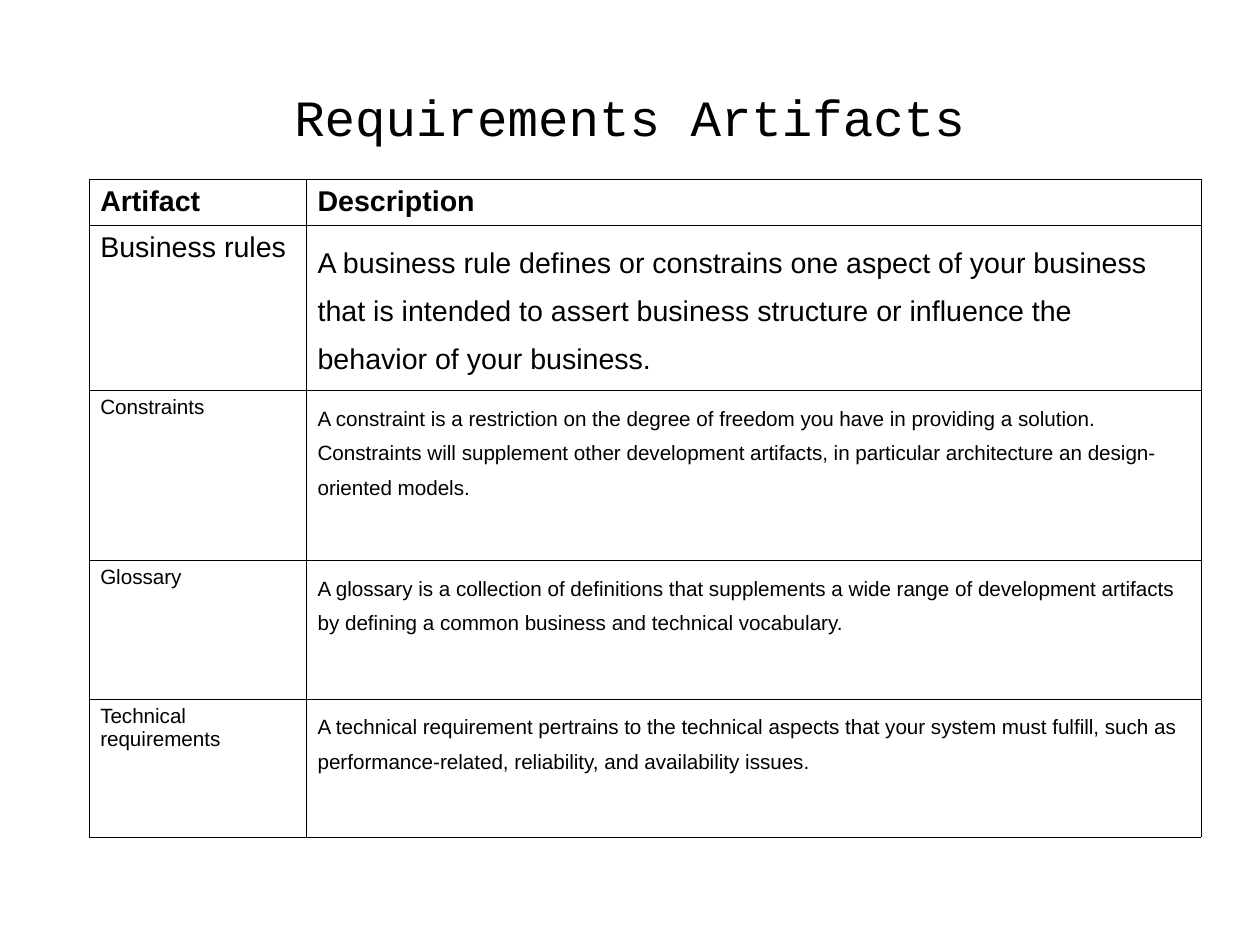
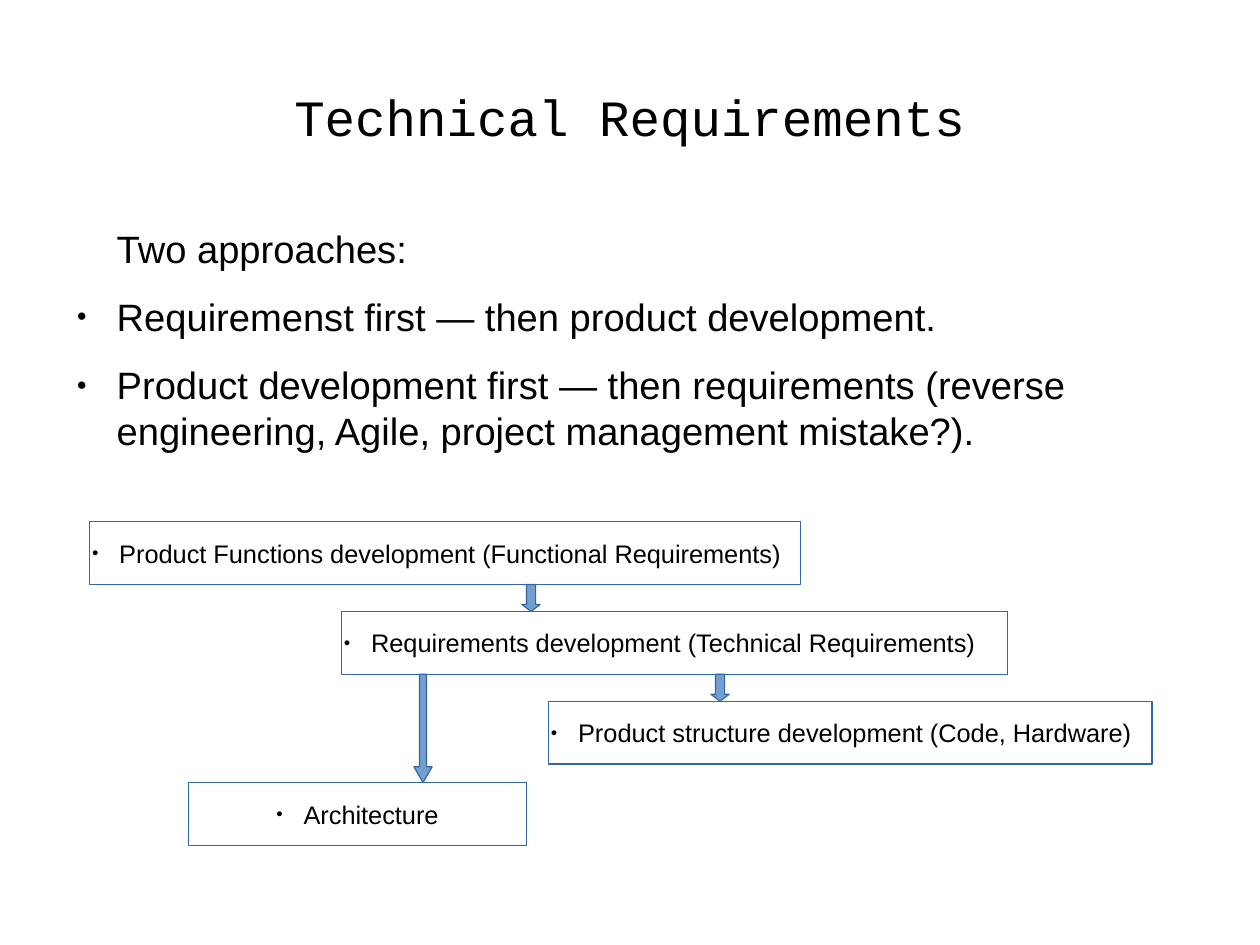
from dataclasses import dataclass

from lxml.etree import SubElement
from pptx import Presentation
from pptx.dml.color import RGBColor
from pptx.enum.shapes import MSO_SHAPE as Preset
from pptx.enum.text import MSO_ANCHOR as Anchor, MSO_AUTO_SIZE as AutoSize, PP_ALIGN as Align
from pptx.oxml.ns import qn
from pptx.util import Cm, Inches, Pt


@dataclass(frozen=True)
class Theme:
    ink: str = "000000"
    outline: str = "3465A4"
    arrow: str = "729FCF"
    title_font: str = "Courier New"
    text_font: str = "Arial"
    title: int = 32
    body: int = 24
    large: int = 18
    label: int = 16
    small: int = 13


THEME = Theme()
WIDTH, HEIGHT = Cm(28), Cm(21)

ARTIFACTS = [
    ("Artifact", "Description"),
    ("Business rules",
     "A business rule defines or constrains one aspect of your business that is intended "
     "to assert business structure or influence the behavior of your business."),
    ("Constraints",
     "A constraint is a restriction on the degree of freedom you have in providing a "
     "solution. Constraints will supplement other development artifacts, in particular "
     "architecture an design-oriented models."),
    ("Glossary",
     "A glossary is a collection of definitions that supplements a wide range of "
     "development artifacts by defining a common business and technical vocabulary."),
    ("Technical requirements",
     "A technical requirement pertrains to the technical aspects that your system must "
     "fulfill, such as performance-related, reliability, and availability issues."),
]
COLUMN_SHARES = (17.25, 71)
ROW_SHARES = (4.86, 17.44, 18.02, 14.63, 14.63)

APPROACHES = [
    "Two approaches:",
    "Requiremenst first — then product development.",
    "Product development first — then requirements (reverse engineering, Agile, "
    "project management mistake?).",
]

STAGE_TOP, STAGE_STEP, STAGE_HEIGHT = 55.2, 9.5, 6.65


def across(share):
    """Length of a percentage of the slide width."""
    return round(WIDTH * share / 100)


def down(share):
    """Length of a percentage of the slide height."""
    return round(HEIGHT * share / 100)


def place(left, top, width, height):
    return across(left), down(top), across(width), down(height)


def add_span(para, text, size, font=THEME.text_font, bold=False):
    span = para.add_run()
    span.text = text
    span.font.name = font
    span.font.size = Pt(size)
    span.font.bold = bold
    span.font.color.rgb = RGBColor.from_string(THEME.ink)


def set_frame(frame, anchor, side=0, end=0):
    frame.word_wrap = True
    frame.auto_size = AutoSize.NONE
    frame.vertical_anchor = anchor
    frame.margin_left = frame.margin_right = Inches(side)
    frame.margin_top = frame.margin_bottom = Inches(end)


def set_indent(para, left, hanging=0):
    properties = para._p.get_or_add_pPr()
    properties.set("marL", str(Inches(left)))
    properties.set("indent", str(-Inches(hanging)))
    return properties


def set_bullet(para, left, hanging):
    properties = set_indent(para, left, hanging)
    colour = SubElement(properties, qn("a:buClr"))
    SubElement(colour, qn("a:srgbClr"), val=THEME.ink)
    SubElement(properties, qn("a:buSzPct"), val="45000")
    SubElement(properties, qn("a:buFont"), typeface=THEME.text_font)
    SubElement(properties, qn("a:buChar"), char="●")


def add_titled_slide(deck, text):
    slide = deck.slides.add_slide(deck.slide_layouts[5])
    title = slide.shapes.title
    title.left, title.top, title.width, title.height = place(5, 3.9, 90, 16.7)
    set_frame(title.text_frame, Anchor.MIDDLE)
    para = title.text_frame.paragraphs[0]
    para.alignment = Align.CENTER
    add_span(para, text, THEME.title, THEME.title_font)
    return slide


def set_borders(cell, width):
    properties = cell._tc.get_or_add_tcPr()
    for position, side in enumerate(("lnL", "lnR", "lnT", "lnB")):
        line = properties.makeelement(qn(f"a:{side}"), {"w": str(Pt(width))})
        fill = SubElement(line, qn("a:solidFill"))
        SubElement(fill, qn("a:srgbClr"), val=THEME.ink)
        properties.insert(position, line)


def fill_cell(cell, text, size, bold, spacing):
    cell.fill.background()
    set_borders(cell, 0.06)
    cell.margin_left = cell.margin_right = Inches(0.1)
    cell.margin_top = cell.margin_bottom = Inches(0.05)
    para = cell.text_frame.paragraphs[0]
    para.line_spacing = spacing
    add_span(para, text, size, bold=bold)


def add_artifact_table(slide):
    area = place(7.05, 19, sum(COLUMN_SHARES), sum(ROW_SHARES))
    table = slide.shapes.add_table(len(ARTIFACTS), len(COLUMN_SHARES), *area).table
    table.first_row = table.horz_banding = False
    for column, share in zip(table.columns, COLUMN_SHARES):
        column.width = across(share)
    for row, share in zip(table.rows, ROW_SHARES):
        row.height = down(share)
    for r, texts in enumerate(ARTIFACTS):
        for c, text in enumerate(texts):
            size = THEME.large if r < 2 else THEME.small
            spacing = 1.5 if r > 0 and c == 1 else 1.0
            fill_cell(table.cell(r, c), text, size, r == 0, spacing)


def add_approaches(slide):
    frame = slide.shapes.add_textbox(*place(5, 23.8, 90, 28.5)).text_frame
    set_frame(frame, Anchor.TOP)
    for number, text in enumerate(APPROACHES):
        para = frame.add_paragraph() if number else frame.paragraphs[0]
        para.space_after = Pt(14.2)
        if number:
            set_bullet(para, 0.47, 0.35)
        else:
            set_indent(para, 0.47)
        add_span(para, text, THEME.body)


def add_outlined(slide, preset, area):
    shape = slide.shapes.add_shape(preset, *area)
    shape.shadow.inherit = False
    shape.fill.background()
    shape.line.color.rgb = RGBColor.from_string(THEME.outline)
    shape.line.width = Pt(0)
    return shape


def add_stage(slide, text, left, top, width, align=Align.LEFT):
    box = add_outlined(slide, Preset.RECTANGLE, place(left, top, width, STAGE_HEIGHT))
    set_frame(box.text_frame, Anchor.MIDDLE, 0.02, 0.01)
    para = box.text_frame.paragraphs[0]
    para.alignment = align
    set_bullet(para, 0.24, 0.24)
    add_span(para, text, THEME.label)
    return box


def add_block_arrow(slide, source, target, centre, shaft=0.5, head=0.38):
    """Fill the gap from the bottom of source to the top of target."""
    width = Inches(0.16)
    top = source.top + source.height
    area = (across(centre) - width // 2, top, width, target.top - top)
    arrow = add_outlined(slide, Preset.DOWN_ARROW, area)
    arrow.fill.solid()
    arrow.fill.fore_color.rgb = RGBColor.from_string(THEME.arrow)
    arrow.adjustments[0] = shaft
    arrow.adjustments[1] = head


def add_stage_flow(slide):
    stages = [
        ("Product Functions development (Functional Requirements)", 7.1, 56.44),
        ("Requirements development (Technical Requirements)", 27.1, 52.9),
        ("Product structure development (Code, Hardware)", 43.52, 47.91),
    ]
    functions, requirements, structure = [
        add_stage(slide, text, left, STAGE_TOP + step * STAGE_STEP, width)
        for step, (text, left, width) in enumerate(stages)
    ]
    architecture = add_stage(slide, "Architecture", 14.97, 82.8, 26.8, Align.CENTER)
    add_block_arrow(slide, requirements, architecture, 33.58, shaft=0.38, head=0.86)
    add_block_arrow(slide, requirements, structure, 57.15)
    add_block_arrow(slide, functions, requirements, 42.15)


def main():
    deck = Presentation()
    deck.slide_width, deck.slide_height = WIDTH, HEIGHT
    add_artifact_table(add_titled_slide(deck, "Requirements Artifacts"))
    technical = add_titled_slide(deck, "Technical Requirements")
    add_approaches(technical)
    add_stage_flow(technical)
    deck.save("out.pptx")


if __name__ == "__main__":
    main()
